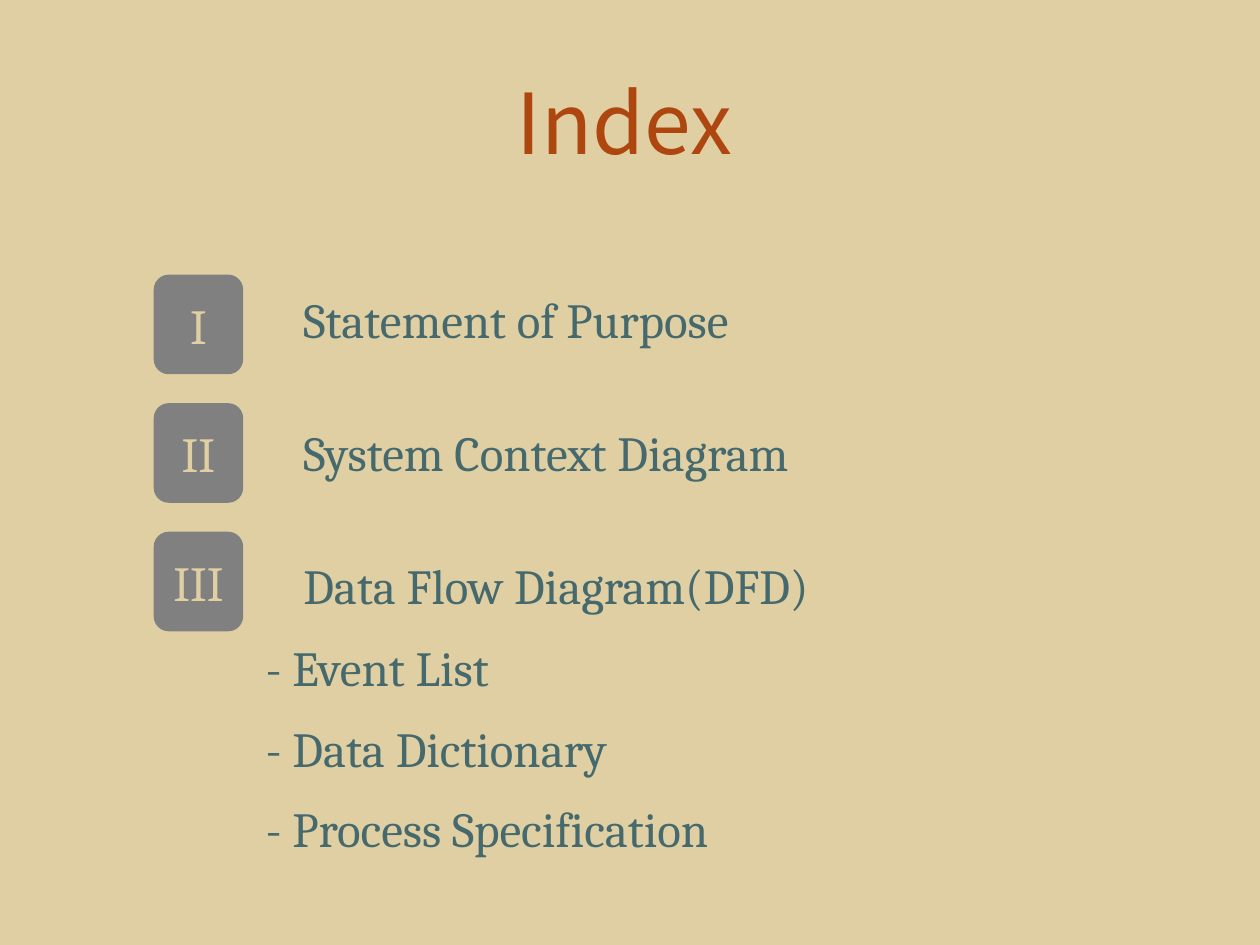
from pptx import Presentation
from pptx.dml.color import RGBColor
from pptx.enum.shapes import MSO_SHAPE
from pptx.enum.text import MSO_ANCHOR, PP_ALIGN
from pptx.util import Inches, Pt

ROUNDED = MSO_SHAPE.ROUNDED_RECTANGLE
TOP, MIDDLE = MSO_ANCHOR.TOP, MSO_ANCHOR.MIDDLE
LEFT, CENTER = PP_ALIGN.LEFT, PP_ALIGN.CENTER

SAND = RGBColor(0xE0, 0xCF, 0xA3)
GRAY = RGBColor(0x80, 0x80, 0x80)
RUST = RGBColor(0xAE, 0x46, 0x0F)
TEAL = RGBColor(0x46, 0x69, 0x6D)

BADGE_LEFT, BADGE_TOP, BADGE_PITCH = 1.22, 2.18, 1.02
BADGE_WIDTH, BADGE_HEIGHT = 0.71, 0.79
TOPIC_LEFT, TOPIC_TOP, TOPIC_PITCH = 2.31, 2.25, 1.055
DETAIL_LEFT, DETAIL_TOP, DETAIL_PITCH = 2.01, 5.01, 0.64
LINE_HEIGHT = 0.57

TOPICS = [
    ("I", "Statement of Purpose", 3.8),
    ("II", "System Context Diagram", 4.28),
    ("III", "Data Flow Diagram(DFD)", 4.46),
]
DETAILS = [
    ("- Event List", 2.08),
    ("- Data Dictionary", 3.04),
    ("- Process Specification", 3.94),
]


def write(box, text, font="Cambria", size=28, color=TEAL, align=LEFT,
          anchor=TOP, wrap=False):
    frame = box.text_frame
    frame.word_wrap = wrap
    frame.vertical_anchor = anchor
    paragraph = frame.paragraphs[0]
    paragraph.alignment = align
    span = paragraph.add_run()
    span.text = text
    span.font.name = font
    span.font.size = Pt(size)
    span.font.color.rgb = color


deck = Presentation()
deck.slide_width, deck.slide_height = Inches(10), Inches(7.5)
page = deck.slides.add_slide(deck.slide_layouts[5])
page.background.fill.solid()
page.background.fill.fore_color.rgb = SAND

title = page.shapes.title
title.left, title.top = Inches(4), Inches(0.51)
title.width, title.height = Inches(2.42), Inches(0.91)
write(title, "Index", font="Noto Sans CJK KR", size=48, color=RUST, wrap=True)

for row, (numeral, topic, width) in enumerate(TOPICS):
    badge = page.shapes.add_shape(
        ROUNDED, Inches(BADGE_LEFT), Inches(BADGE_TOP + row * BADGE_PITCH),
        Inches(BADGE_WIDTH), Inches(BADGE_HEIGHT))
    badge.shadow.inherit = False
    badge.fill.solid()
    badge.fill.fore_color.rgb = GRAY
    badge.line.fill.background()
    write(badge, numeral, color=SAND, align=CENTER, anchor=MIDDLE)

    label = page.shapes.add_textbox(
        Inches(TOPIC_LEFT), Inches(TOPIC_TOP + row * TOPIC_PITCH),
        Inches(width), Inches(LINE_HEIGHT))
    write(label, topic)

for row, (detail, width) in enumerate(DETAILS):
    label = page.shapes.add_textbox(
        Inches(DETAIL_LEFT), Inches(DETAIL_TOP + row * DETAIL_PITCH),
        Inches(width), Inches(LINE_HEIGHT))
    write(label, detail)

deck.save("out.pptx")
